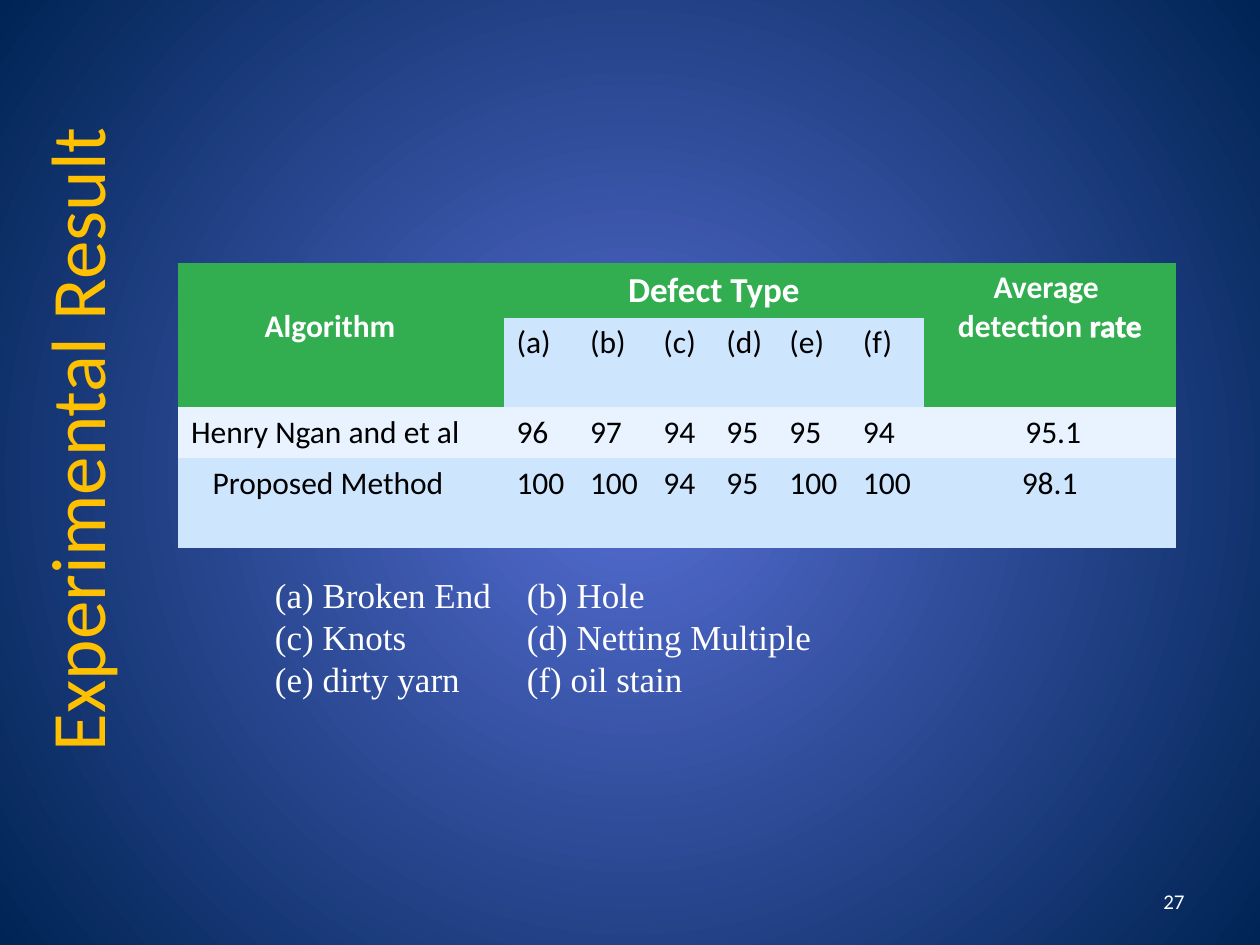
import pptx
import pptx.util
import pptx.oxml
import pptx.oxml.ns
import pptx.dml.color
import pptx.enum.text
from dataclasses import dataclass
from lxml import etree

Pt = pptx.util.Pt
RGB = pptx.dml.color.RGBColor.from_string
ALIGN = pptx.enum.text.PP_ALIGN
ANCHOR = pptx.enum.text.MSO_ANCHOR
qn = pptx.oxml.ns.qn
NO_GRID_STYLE = "{2D5ABB26-0587-4C30-8999-92F81FD0307C}"


@dataclass(frozen=True)
class Theme:
    center: str = "556DD2"
    edge: str = "002454"
    light: str = "FFFFFF"
    dark: str = "000000"
    title: str = "FFC000"
    header: str = "32AE51"
    band: str = "CEE5FE"
    pale: str = "E8F3FF"
    sans: str = "Calibri"
    serif: str = "Times New Roman"
    title_size: int = 44
    large: int = 20
    body: int = 18
    small: int = 12


THEME = Theme()


def write(frame, text, size=THEME.body, color=THEME.light, font=THEME.sans,
          bold=False, align=ALIGN.LEFT, tab=None):
    """Fill a text frame with one paragraph per line of text."""
    for index, line in enumerate(text.split("\n")):
        para = frame.paragraphs[0] if index == 0 else frame.add_paragraph()
        para.alignment = align
        if tab:
            stops = etree.SubElement(para._p.get_or_add_pPr(), qn("a:tabLst"))
            etree.SubElement(stops, qn("a:tab"), pos=str(Pt(tab)), algn="l")
        add_span(para, line, size, color, font, bold)


def add_span(para, text, size, color, font, bold):
    span = para.add_run()
    span.text = text
    span.font.size = Pt(size)
    span.font.name = font
    span.font.bold = bold
    span.font.color.rgb = RGB(color)
    return span


def add_text(page, box, text, anchor=ANCHOR.TOP, rotation=0, **style):
    shape = page.shapes.add_textbox(*map(Pt, box))
    shape.rotation = rotation
    frame = shape.text_frame
    frame.word_wrap = True
    frame.vertical_anchor = anchor
    write(frame, text, **style)


def paint_background(page):
    """Radial gradient, light in the middle."""
    fill = page.background.fill
    fill.gradient()
    for stop, color in zip(fill.gradient_stops, (THEME.center, THEME.edge)):
        stop.color.rgb = RGB(color)
    gradient = page.element.find(".//" + qn("a:gradFill"))
    gradient.remove(gradient.find(qn("a:lin")))
    circle = etree.SubElement(gradient, qn("a:path"), path="circle")
    etree.SubElement(circle, qn("a:fillToRect"),
                     {side: "50000" for side in "ltrb"})


def fill_cell(cell, text, fill, **style):
    cell.fill.solid()
    cell.fill.fore_color.rgb = RGB(fill)
    write(cell.text_frame, text, **style)


def add_results(page, box):
    """Detection rates per defect type, under a two-row header."""
    widths = (186, 42, 42, 36, 36, 42, 42, 144)
    heights = (31.5, 51, 29.5, 51)
    frame = page.shapes.add_table(len(heights), len(widths), *map(Pt, box))
    table = frame.table
    table.first_row = table.horz_banding = False
    table._tbl.tblPr.find(qn("a:tableStyleId")).text = NO_GRID_STYLE
    for column, width in zip(table.columns, widths):
        column.width = Pt(width)
    for row, height in zip(table.rows, heights):
        row.height = Pt(height)

    # Merged header cells
    heading = dict(bold=True, align=ALIGN.CENTER)
    algorithm, defect, average = (table.cell(0, c) for c in (0, 1, 7))
    algorithm.merge(table.cell(1, 0))
    defect.merge(table.cell(0, 6))
    average.merge(table.cell(1, 7))
    fill_cell(algorithm, "Algorithm", THEME.header, **heading)
    algorithm.vertical_anchor = ANCHOR.MIDDLE
    algorithm.margin_right = Pt(20)
    algorithm.margin_bottom = Pt(13)
    fill_cell(defect, "Defect Type", THEME.header, size=THEME.large, **heading)
    fill_cell(average, "Average \ndetection ", THEME.header, **heading)
    rate = add_span(average.text_frame.paragraphs[1], "rate", THEME.body,
                    THEME.light, THEME.sans, True)
    outline = etree.Element(qn("a:ln"), w=str(Pt(0.75)))
    solid = etree.SubElement(outline, qn("a:solidFill"))
    etree.SubElement(solid, qn("a:srgbClr"), val=THEME.light)
    rate.font._element.insert(0, outline)

    # Defect letters and scores
    for column, letter in enumerate("abcdef", 1):
        fill_cell(table.cell(1, column), f"({letter})", THEME.band,
                  color=THEME.dark)
    scores = (
        (THEME.pale, "Henry Ngan and et al", 96, 97, 94, 95, 95, 94, 95.1),
        (THEME.band, "Proposed Method", 100, 100, 94, 95, 100, 100, 98.1),
    )
    for row, (fill, *values) in enumerate(scores, 2):
        for column, value in enumerate(values):
            fill_cell(table.cell(row, column), str(value), fill,
                      color=THEME.dark)
    table.cell(2, 7).margin_left = Pt(58)
    table.cell(3, 0).margin_left = Pt(19.5)
    table.cell(3, 7).margin_left = Pt(56)


def add_legend(page, box):
    add_text(page, box,
             "(a) Broken End \t(b) Hole\n"
             "(c) Knots \t(d) Netting Multiple\n"
             "(e) dirty yarn \t(f) oil stain",
             size=THEME.large, font=THEME.serif, tab=144)


def add_title(page, box):
    add_text(page, box, "Experimental Result", ANCHOR.MIDDLE, rotation=270,
             size=THEME.title_size, color=THEME.title, align=ALIGN.CENTER)


def add_page_number(page, box):
    add_text(page, box, "27", ANCHOR.MIDDLE, size=THEME.small,
             align=ALIGN.RIGHT)


def main():
    deck = pptx.Presentation()
    deck.slide_width, deck.slide_height = Pt(720), Pt(540)
    page = deck.slides.add_slide(deck.slide_layouts[6])
    paint_background(page)
    add_page_number(page, (516, 500.5, 168, 28.75))
    add_results(page, (102, 150, 570, 163))
    add_legend(page, (150, 324, 450, 80))
    add_title(page, (-281.5, 206, 648, 90))
    deck.save("out.pptx")


if __name__ == "__main__":
    main()
